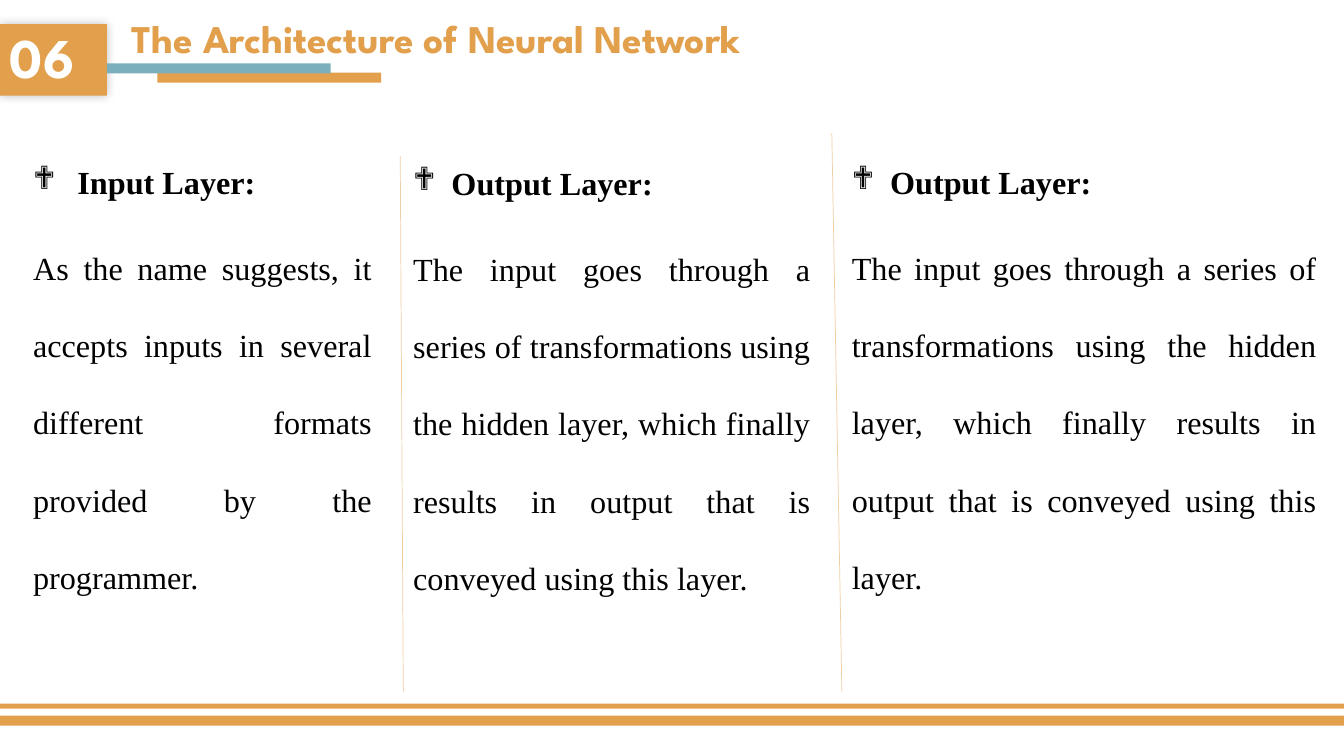
from lxml import etree
from pptx import Presentation
from pptx.dml.color import RGBColor
from pptx.enum.shapes import MSO_CONNECTOR, MSO_SHAPE
from pptx.enum.text import MSO_ANCHOR, PP_ALIGN
from pptx.oxml import parse_xml
from pptx.oxml.ns import nsdecls, qn
from pptx.util import Inches, Pt

# Content
NUMBER = "06"
TITLE = "The Architecture of Neural Network"
OUTPUT_TEXT = ("The input goes through a series of transformations using the hidden layer, "
               "which finally results in output that is conveyed using this layer.")
# heading, body, box (left, top, width, height), heading indent
LAYERS = [
    ("Input Layer:",
     "As the name suggests, it accepts inputs in several different formats "
     "provided by the programmer.", (0.23, 1.18, 3.56, 6.68), 0.44),
    ("Output Layer:", OUTPUT_TEXT, (4, 1.19, 4.14, 5.69), 0.38),
    ("Output Layer:", OUTPUT_TEXT, (8.35, 1.18, 4.81, 5.69), 0.38),
]

# Style and geometry
COLORS = {"orange": "E2A04C", "teal": "7CAFBC", "divider": "F0CEA3",
          "white": "FFFFFF", "black": "000000"}
DISPLAY, BODY = "League Spartan", "Times New Roman"
WIDTH, HEIGHT = 13.33, 7.5
FOOTER_BARS = [(0, 7.1, WIDTH, 0.1), (0, 6.98, WIDTH, 0.05)]
TITLE_BARS = [((1.56, 0.72, 2.22, 0.1), "orange"), ((1.06, 0.63, 2.22, 0.1), "teal")]
DIVIDERS = [((3.97, 1.55), (4, 6.87)), ((8.25, 1.32), (8.35, 6.87))]

deck = Presentation()
deck.slide_width, deck.slide_height = Inches(WIDTH), Inches(HEIGHT)
slide = deck.slides.add_slide(deck.slide_layouts[6])


def rgb(name):
    return RGBColor.from_string(COLORS[name])


def add_bar(box, color):
    bar = slide.shapes.add_shape(MSO_SHAPE.RECTANGLE, *map(Inches, box))
    bar.shadow.inherit = False
    bar.fill.solid()
    bar.fill.fore_color.rgb = rgb(color)
    bar.line.fill.background()
    return bar


def add_text_box(box, anchor=MSO_ANCHOR.TOP):
    frame = slide.shapes.add_textbox(*map(Inches, box)).text_frame
    frame.word_wrap = True
    frame.vertical_anchor = anchor
    return frame


def write(paragraph, text, *, size, font, color, bold=False, align=PP_ALIGN.LEFT,
          spacing=1.0, before=0, bullet=None, indent=0):
    run = paragraph.add_run()
    run.text = text
    run.font.size, run.font.name, run.font.bold = Pt(size), font, bold
    run.font.color.rgb = rgb(color)
    paragraph.alignment = align
    paragraph.line_spacing = spacing
    paragraph.space_before = Pt(before)
    if bullet:
        properties = paragraph._p.get_or_add_pPr()
        properties.set("marL", str(Inches(indent)))
        properties.set("indent", str(-Inches(indent)))
        etree.SubElement(properties, qn("a:buFont")).set("typeface", "Wingdings")
        etree.SubElement(properties, qn("a:buChar")).set("char", bullet)


# Footer bars
for box in FOOTER_BARS:
    add_bar(box, "orange")

# Section number with a soft shadow
badge = add_bar((0, 0.24, 1.06, 0.71), "orange")
badge._element.spPr.find(qn("a:effectLst")).append(parse_xml(
    f'<a:outerShdw {nsdecls("a")} blurRad="{Pt(7)}" dist="0" dir="0">'
    f'<a:srgbClr val="{COLORS["black"]}"><a:alpha val="25000"/></a:srgbClr></a:outerShdw>'))
badge.text_frame.vertical_anchor = MSO_ANCHOR.MIDDLE
write(badge.text_frame.paragraphs[0], NUMBER, size=40, font=DISPLAY, color="white",
      bold=True, spacing=0.9, before=10)

# Title underline
for box, color in TITLE_BARS:
    add_bar(box, color)

# Layer columns
layer_format = dict(size=23, font=BODY, color="black", align=PP_ALIGN.JUSTIFY,
                    spacing=2.0, before=6)
for heading, body, box, indent in LAYERS:
    column = add_text_box(box)
    write(column.paragraphs[0], heading, bold=True, bullet="\u2756", indent=indent,
          **layer_format)
    write(column.add_paragraph(), body, **layer_format)

# Column dividers
for start, end in DIVIDERS:
    divider = slide.shapes.add_connector(MSO_CONNECTOR.STRAIGHT, *map(Inches, start + end))
    divider.line.color.rgb = rgb("divider")
    divider.line.width = Pt(0.5)
    etree.SubElement(divider._element.spPr, qn("a:effectLst"))

# Title
title = add_text_box((1.21, -0.02, 10.48, 0.79), MSO_ANCHOR.MIDDLE)
write(title.paragraphs[0], TITLE, size=28, font=DISPLAY, color="orange", bold=True, before=10)

deck.save("out.pptx")
